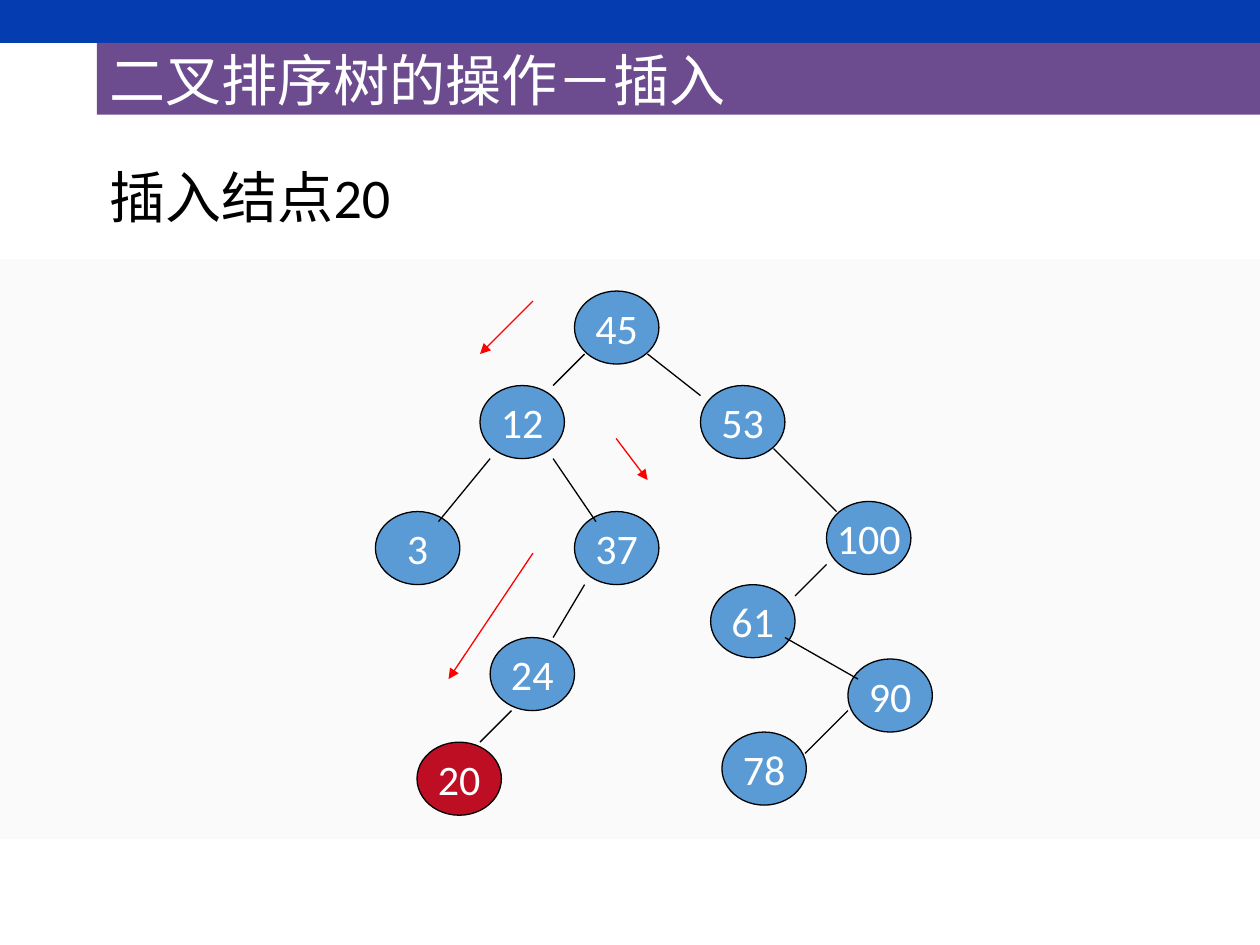
from lxml import etree
from pptx import Presentation, util as u
from pptx.dml.color import RGBColor
from pptx.enum import shapes, text
from pptx.oxml.ns import qn

THEME = {
    "font": "Calibri",
    "title_size": 32,
    "node_size": 24,
    "line_width": 0.75,
    "banner": "053CAF",
    "accent": "FF0000",
    "title_bar": "6C4C8F",
    "panel": "FAFAFA",
    "node": "5B9BD5",
    "new_node": "BE0E23",
    "ink": "000000",
    "paper": "FFFFFF",
}

TITLE = "二叉排序树的操作－插入"
HEADING = "插入结点20"
NEW_KEY = 20
NODE_SIZE = (0.67, 0.58)
# key: left, top
NODES = {
    45: (4.56, 2.31),
    12: (3.81, 3.06),
    53: (5.56, 3.06),
    3: (2.98, 4.06),
    37: (4.56, 4.06),
    24: (3.89, 5.06),
    100: (6.56, 3.98),
    61: (5.64, 4.64),
    90: (6.73, 5.23),
    78: (5.73, 5.81),
    NEW_KEY: (3.31, 5.89),
}
# start x, start y, end x, end y
EDGES = [
    (4.64, 2.81, 4.39, 3.06),  # 45 - 12
    (3.89, 3.64, 3.48, 4.14),  # 12 - 3
    (4.39, 3.64, 4.73, 4.14),  # 12 - 37
    (4.64, 4.64, 4.39, 5.06),  # 37 - 24
    (5.14, 2.81, 5.56, 3.14),  # 45 - 53
    (6.14, 3.56, 6.64, 4.06),  # 53 - 100
    (6.56, 4.48, 6.31, 4.73),  # 100 - 61
    (6.23, 5.06, 6.81, 5.39),  # 61 - 90
    (6.73, 5.64, 6.39, 5.98),  # 90 - 78
    (4.06, 5.64, 3.81, 5.89),  # 24 - 20
]
SEARCH_STEPS = [
    (4.23, 2.39, 3.81, 2.81),
    (4.89, 3.48, 5.14, 3.81),
    (4.23, 4.39, 3.56, 5.39),
]


def color(name):
    return RGBColor.from_string(THEME[name])


def set_line(shape, name):
    shape.line.color.rgb = color(name)
    shape.line.width = u.Pt(THEME["line_width"])


def write(shape, words, size, ink, align=text.PP_ALIGN.LEFT,
          anchor=text.MSO_ANCHOR.MIDDLE, wrap=True):
    frame = shape.text_frame
    frame.word_wrap = wrap
    frame.vertical_anchor = anchor
    paragraph = frame.paragraphs[0]
    paragraph.alignment = align
    run = paragraph.add_run()
    run.text = words
    run.font.name = THEME["font"]
    run.font.size = u.Pt(size)
    run.font.color.rgb = color(ink)


def add_block(slide, box, fill, kind=shapes.MSO_SHAPE.RECTANGLE, outline=None):
    block = slide.shapes.add_shape(kind, *map(u.Inches, box))
    block.shadow.inherit = False
    block.fill.solid()
    block.fill.fore_color.rgb = color(fill)
    if outline:
        set_line(block, outline)
    else:
        block.line.fill.background()
    return block


def add_segment(slide, ends, ink, arrow=False):
    segment = slide.shapes.add_connector(
        shapes.MSO_CONNECTOR.STRAIGHT, *map(u.Inches, ends))
    set_line(segment, ink)
    if arrow:
        outline = segment._element.spPr.find(qn("a:ln"))
        etree.SubElement(outline, qn("a:tailEnd"), type="triangle")
    etree.SubElement(segment._element.spPr, qn("a:effectLst"))


def add_tree(slide):
    for key, corner in NODES.items():
        node = add_block(slide, corner + NODE_SIZE,
                         "new_node" if key == NEW_KEY else "node",
                         kind=shapes.MSO_SHAPE.OVAL, outline="ink")
        write(node, str(key), THEME["node_size"], "paper",
              align=text.PP_ALIGN.CENTER, wrap=False)
    for edge in EDGES:
        add_segment(slide, edge, "ink")
    for step in SEARCH_STEPS:
        add_segment(slide, step, "accent", arrow=True)


def main():
    deck = Presentation()
    deck.slide_width, deck.slide_height = u.Inches(10), u.Inches(7.5)
    slide = deck.slides.add_slide(deck.slide_layouts[6])

    add_block(slide, (0, 0, 10, 0.34), "banner")
    add_block(slide, (0, 2.06, 10, 4.6), "panel")
    add_tree(slide)

    heading = slide.shapes.add_textbox(*map(u.Inches, (0.77, 1.24, 2.84, 0.63)))
    write(heading, HEADING, THEME["title_size"], "ink", anchor=text.MSO_ANCHOR.TOP)
    title_bar = add_block(slide, (0.77, 0.34, 9.23, 0.57), "title_bar")
    write(title_bar, TITLE, THEME["title_size"], "paper")

    deck.save("out.pptx")


if __name__ == "__main__":
    main()
